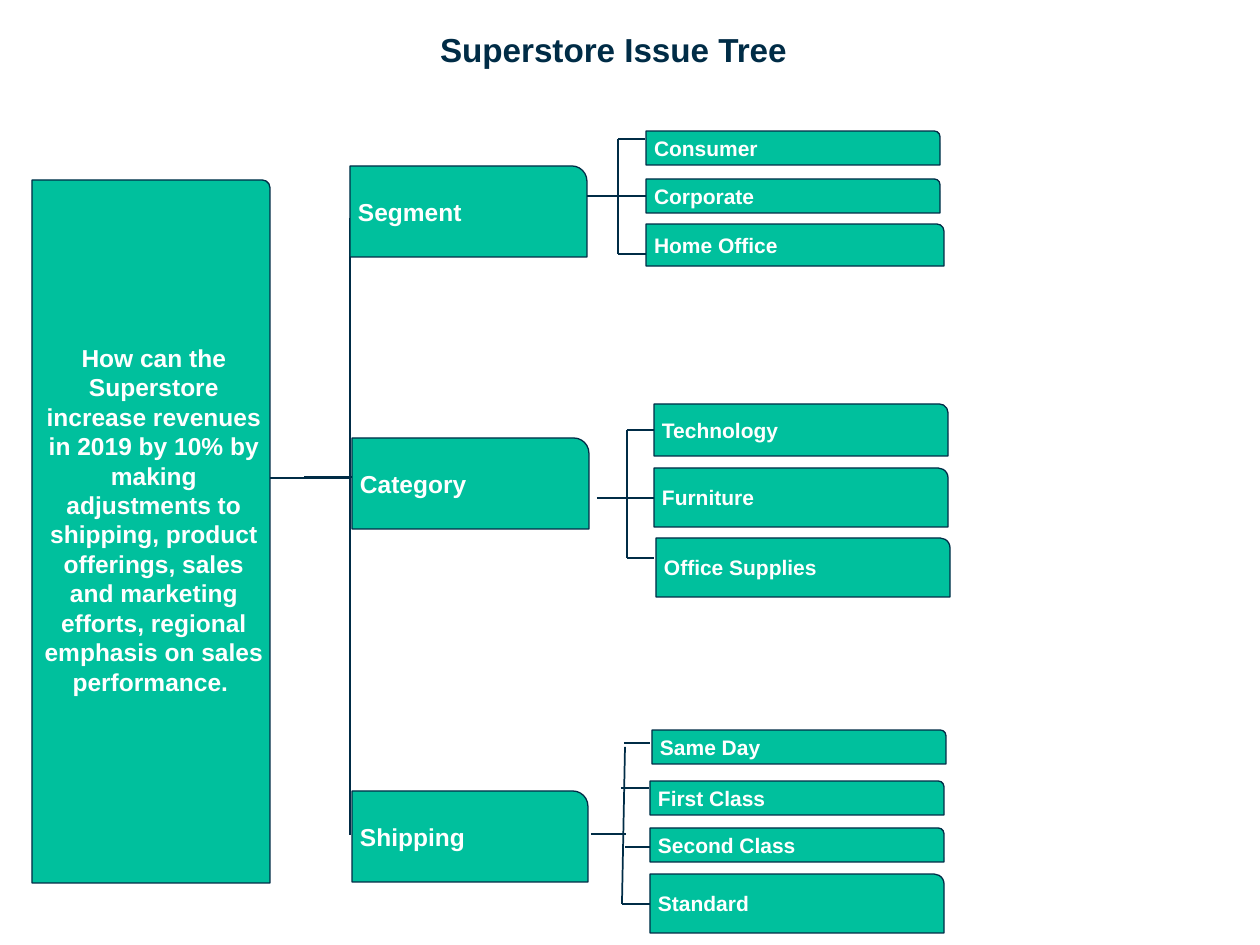
"""Build the Superstore issue tree slide."""
from dataclasses import dataclass

from lxml.etree import SubElement
from pptx import Presentation
from pptx.dml.color import RGBColor
from pptx.enum.shapes import MSO_CONNECTOR, MSO_SHAPE
from pptx.enum.text import MSO_ANCHOR, PP_ALIGN
from pptx.oxml.ns import qn
from pptx.util import Pt


@dataclass(frozen=True)
class Theme:
    green: RGBColor = RGBColor(0x00, 0xC0, 0x9D)
    navy: RGBColor = RGBColor(0x00, 0x2C, 0x46)
    white: RGBColor = RGBColor(0xFF, 0xFF, 0xFF)
    font: str = "Arial"
    title: Pt = Pt(19)
    branch: Pt = Pt(14)
    leaf: Pt = Pt(12)
    outline: Pt = Pt(0.75)
    link: Pt = Pt(1)


THEME = Theme()
PX = 914400 / 126


def write(frame, text, size, color, align, insets):
    """Set the text, its look and its insets (left, top, right, bottom)."""
    frame.word_wrap = True
    frame.margin_left, frame.margin_top, frame.margin_right, frame.margin_bottom = (
        round(inset * PX) for inset in insets)
    paragraph = frame.paragraphs[0]
    paragraph.text = text
    paragraph.alignment = align
    paragraph.font.name = THEME.font
    paragraph.font.size = size
    paragraph.font.bold = True
    paragraph.font.color.rgb = color


prs = Presentation()
prs.slide_width, prs.slide_height = round(1260 * PX), round(945 * PX)
slide = prs.slides.add_slide(prs.slide_layouts[6])

heading = slide.shapes.add_textbox(*(round(v * PX) for v in (24, 29, 1188, 42)))
write(heading.text_frame, "Superstore Issue Tree\u00a0", THEME.title, THEME.navy,
      PP_ALIGN.CENTER, (0, 0, 0, 0))

trunk_links = [(350, 218, 350, 835), (353, 477, 304, 477)]
segment_links = [(586, 196, 646, 196), (618, 139, 618, 254),
                 (618, 139, 645, 139), (618, 254, 646, 254)]
category_links = [(597, 498, 654, 498), (627, 430, 627, 558),
                  (627, 430, 654, 430), (627, 558, 654, 558)]
shipping_links = [(591, 834, 626, 834), (625, 747, 622, 904), (624, 743, 650, 743),
                  (621, 788, 649, 788), (625, 847, 652, 847), (622, 904, 650, 904)]
links = [(link, THEME.link)
         for link in trunk_links + segment_links + category_links + shipping_links]
links.append(((350, 478, 270, 478), THEME.outline))

for ends, width in links:
    connector = slide.shapes.add_connector(
        MSO_CONNECTOR.STRAIGHT, *(round(v * PX) for v in ends))
    connector.line.color.rgb = THEME.navy
    connector.line.width = width
    SubElement(connector._element.spPr, qn("a:effectLst"))

question = ("How can the Superstore increase revenues in 2019 by 10% by making "
            "adjustments to shipping,\u00a0product offerings, sales and marketing "
            "efforts, regional emphasis on sales performance.\u00a0")
branches = [("Segment", 350, 166, 237, 91), ("Category", 352, 438, 237, 91),
            ("Shipping", 352, 791, 236, 91)]
leaves = [("Consumer", 646, 131, 294, 34), ("Corporate", 646, 179, 294, 34),
          ("Home Office", 646, 224, 298, 42),
          ("Technology", 654, 404, 294, 52), ("Furniture", 654, 468, 294, 59),
          ("Office Supplies", 656, 538, 294, 59),
          ("Same Day", 652, 730, 294, 34), ("First Class", 650, 781, 294, 34),
          ("Second Class", 650, 828, 294, 34), ("Standard", 650, 874, 294, 59)]

label_style = (PP_ALIGN.LEFT, (8, 6, 6, 6), 0.167)
nodes = [((question, 32, 180, 238, 703), THEME.branch,
          (PP_ALIGN.CENTER, (8, 0, 0, 24), 0.032))]
nodes += [(branch, THEME.branch, label_style) for branch in branches]
nodes += [(leaf, THEME.leaf, label_style) for leaf in leaves]

for (text, *bounds), size, (align, insets, rounding) in nodes:
    node = slide.shapes.add_shape(
        MSO_SHAPE.ROUND_1_RECTANGLE, *(round(v * PX) for v in bounds))
    node.adjustments[0] = rounding
    node.shadow.inherit = False
    node.fill.solid()
    node.fill.fore_color.rgb = THEME.green
    node.line.color.rgb = THEME.navy
    node.line.width = THEME.outline
    node.text_frame.vertical_anchor = MSO_ANCHOR.MIDDLE
    write(node.text_frame, text, size, THEME.white, align, insets)

prs.save("out.pptx")
